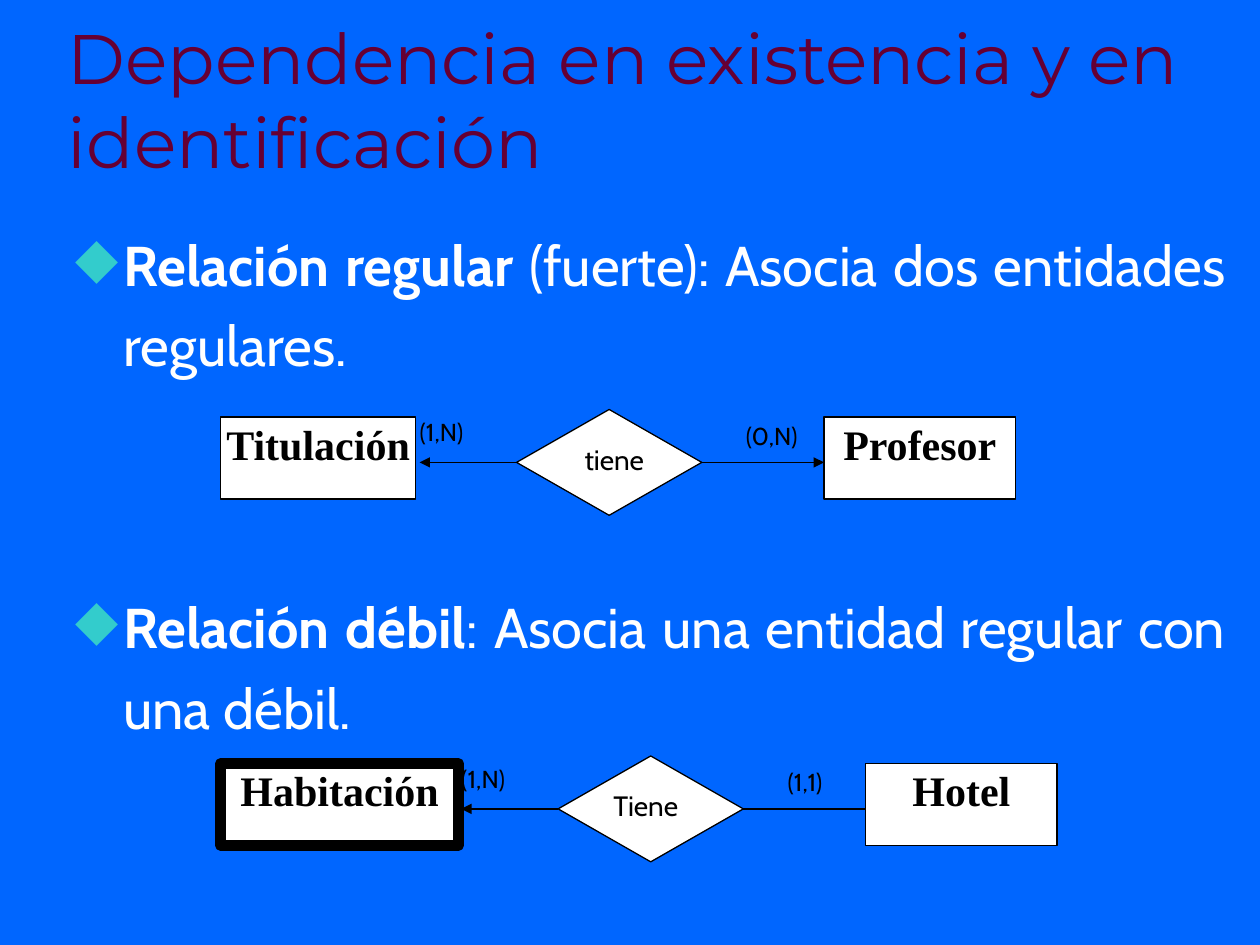
from dataclasses import dataclass

from lxml import etree
from pptx import Presentation
from pptx import util as u
from pptx.dml.color import RGBColor
from pptx.enum import shapes, text
from pptx.oxml import ns

BLACK, WHITE = "000000", "FFFFFF"
CENTER = text.PP_ALIGN.CENTER


@dataclass
class Entity:
    name: str
    wide: float
    line: float  # outline in points
    card: str
    arrow: bool = True


@dataclass
class Diagram:
    x: float  # left of the diamond
    y: float  # top of the diamond
    verb: str
    room: float  # width of the verb's box
    left: Entity
    right: Entity


DIAGRAMS = [
    Diagram(4.1, 3.25, "tiene", 1.25,
            Entity("Titulación", 1.55, 0.75, "(1,N)"),
            Entity("Profesor", 1.52, 1, "(0,N)")),
    Diagram(4.43, 6, "Tiene", 1.09,
            Entity("Habitación", 1.89, 6, "(1,N)"),
            Entity("Hotel", 1.52, 1, "(1,1)", arrow=False)),
]
BULLETS = [
    ("Relación regular", " (fuerte): Asocia dos entidades regulares."),
    ("Relación débil", ": Asocia una entidad regular con una débil."),
]


def color(code: str) -> RGBColor:
    return RGBColor.from_string(code)


def style(para, face: str, size: float, code: str, bold: bool = False):
    font = para.font
    font.name, font.size, font.bold = face, u.Pt(size), bold
    font.color.rgb = color(code)


def inset(frame, side: float, top: float):
    frame.word_wrap = True
    frame.margin_left = frame.margin_right = u.Inches(side)
    frame.margin_top = frame.margin_bottom = u.Inches(top)


def box(slide, x: float, y: float, w: float, h: float,
        side: float = 0.1, top: float = 0.05):
    area = slide.shapes.add_textbox(*map(u.Inches, (x, y, w, h)))
    inset(area.text_frame, side, top)
    return area.text_frame


def label(slide, words: str, x: float, y: float, w: float, h: float,
          size: float, pad: float = 0, align=None):
    para = box(slide, x, y, w, h, pad, pad).paragraphs[0]
    para.text, para.alignment = words, align
    style(para, "Cabin", size, BLACK)


def block(slide, kind, x: float, y: float, w: float, h: float, line: float):
    shape = slide.shapes.add_shape(kind, *map(u.Inches, (x, y, w, h)))
    shape.shadow.inherit = False
    shape.fill.solid()
    shape.fill.fore_color.rgb = color(WHITE)
    shape.line.color.rgb = color(BLACK)
    shape.line.width = u.Pt(line)
    return shape


def entity(slide, item: Entity, x: float, y: float):
    shape = block(slide, shapes.MSO_SHAPE.RECTANGLE,
                  x, y, item.wide, 0.65, item.line)
    frame = shape.text_frame
    inset(frame, 0.01, 0.01)
    frame.vertical_anchor = text.MSO_ANCHOR.TOP
    para = frame.paragraphs[0]
    para.text, para.alignment = item.name, CENTER
    style(para, "Times New Roman", 24, BLACK, True)


def link(slide, start, site: int, x: float, y: float, arrow: bool):
    end = u.Inches(x), u.Inches(y)
    line = slide.shapes.add_connector(shapes.MSO_CONNECTOR.STRAIGHT, *end, *end)
    line.begin_connect(start, site)
    line.line.color.rgb = color(BLACK)
    line.line.width = u.Pt(0.75)
    if arrow:
        etree.SubElement(line.line._get_or_add_ln(), ns.qn("a:tailEnd"),
                         type="triangle")
    etree.SubElement(line._element.spPr, ns.qn("a:effectLst"))


def diagram(slide, d: Diagram):
    near, far = d.x - 0.77, d.x + 2.44
    mid = d.y + 0.42
    entity(slide, d.left, 1.75, d.y + 0.06)
    entity(slide, d.right, far, d.y + 0.06)
    rhomb = block(slide, shapes.MSO_SHAPE.DIAMOND, d.x, d.y, 1.47, 0.84, 0.75)
    link(slide, rhomb, 1, near, mid, d.left.arrow)
    link(slide, rhomb, 3, far, mid, d.right.arrow)
    label(slide, d.verb, d.x + 0.15, d.y + 0.25, d.room, 0.52, 16, 0.01, CENTER)
    label(slide, d.left.card, near, d.y + 0.06, 0.51, 0.39, 14)
    label(slide, d.right.card, d.x + 1.82, d.y + 0.09, 0.62, 0.35, 14)


def bullet(para, lead: str, rest: str):
    props = para._p.get_or_add_pPr()
    props.set("marL", str(u.Inches(0.38)))
    props.set("indent", str(-u.Inches(0.38)))
    tint = etree.SubElement(props, ns.qn("a:buClr"))
    etree.SubElement(tint, ns.qn("a:srgbClr"), val="33CCCC")
    etree.SubElement(props, ns.qn("a:buChar"), char="◆")
    para.alignment = text.PP_ALIGN.JUSTIFY
    para.line_spacing = 1.2
    style(para, "Cabin", 32, WHITE)
    for words, bold in ((lead, True), (rest, False)):
        run = para.add_run()
        run.text, run.font.bold = words, bold


def main():
    deck = Presentation()
    deck.slide_width, deck.slide_height = u.Inches(10), u.Inches(7.5)
    slide = deck.slides.add_slide(deck.slide_layouts[6])
    fill = slide.background.fill
    fill.solid()
    fill.fore_color.rgb = color("0066FF")

    # Title
    frame = box(slide, 0.44, 0.25, 9.06, 1.25)
    frame.vertical_anchor = text.MSO_ANCHOR.BOTTOM
    title = frame.paragraphs[0]
    title.text = "Dependencia en existencia y en identificación"
    style(title, "Montserrat", 40, "660033")

    # Definitions, with room for a diagram between them
    frame = box(slide, 0.5, 1.67, 9.33, 5.67)
    first, second = frame.paragraphs[0], frame.add_paragraph()
    for para, words in zip((first, second), BULLETS):
        bullet(para, *words)
    second.space_before = u.Pt(115)

    # Entity diagrams
    for item in DIAGRAMS:
        diagram(slide, item)

    deck.save("out.pptx")


if __name__ == "__main__":
    main()
